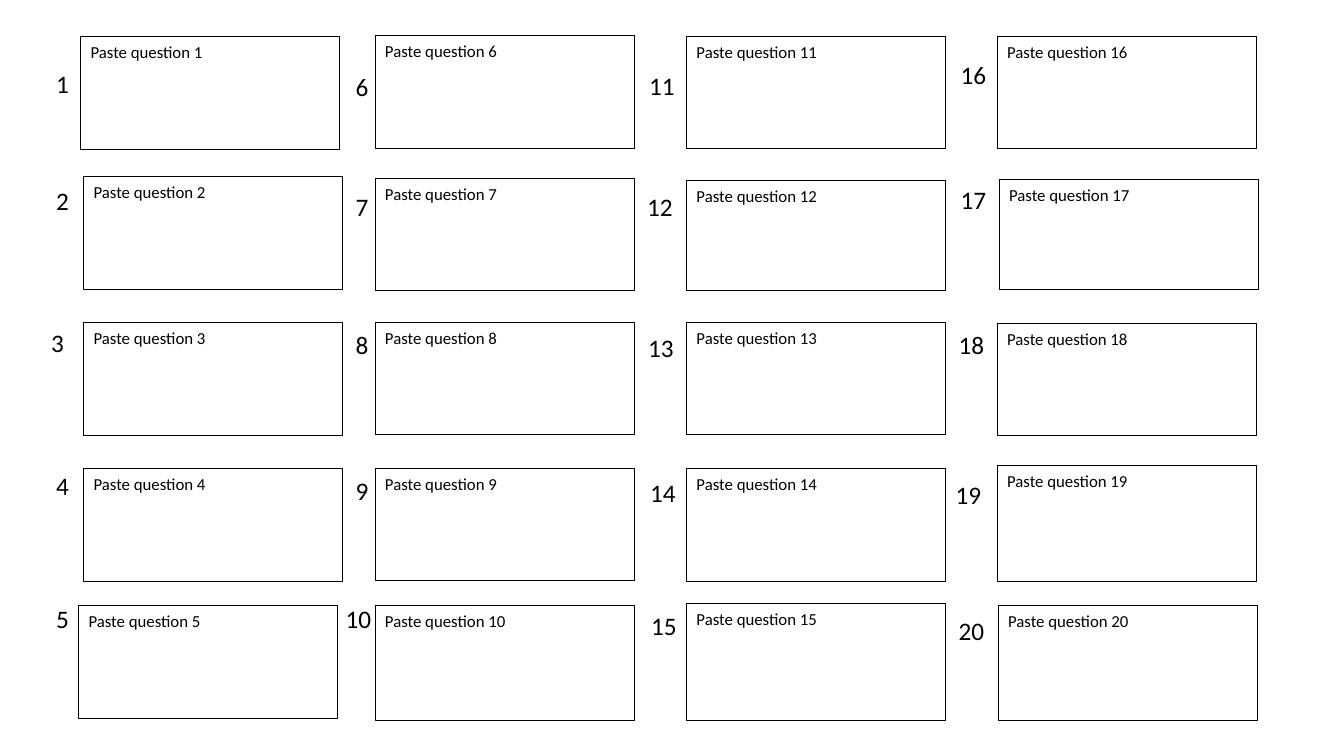
from dataclasses import dataclass

from pptx import Presentation
from pptx import util as u
from pptx.dml.color import RGBColor
from pptx.enum import shapes, text

PX = 9144  # 100 px to the inch
BLACK = RGBColor(0, 0, 0)
FONT = "Calibri"
BOX_WIDTH = 257


@dataclass(frozen=True)
class Question:
    """Placement in px of a question's number and of its box."""
    number_left: int
    number_top: int
    box_left: int
    box_top: int
    box_height: int


QUESTIONS = [
    Question(46, 63, 80, 36, 112),
    Question(46, 179, 83, 175, 112),
    Question(41, 320, 83, 320, 112),
    Question(46, 462, 83, 465, 112),
    Question(46, 594, 78, 601, 112),
    Question(343, 66, 372, 35, 112),
    Question(343, 185, 372, 177, 111),
    Question(343, 322, 372, 320, 111),
    Question(343, 467, 372, 465, 111),
    Question(333, 594, 372, 601, 114),
    Question(634, 65, 681, 36, 111),
    Question(632, 185, 681, 179, 109),
    Question(633, 325, 681, 320, 111),
    Question(635, 469, 681, 465, 112),
    Question(636, 601, 681, 599, 116),
    Question(943, 54, 989, 36, 111),
    Question(943, 178, 991, 178, 109),
    Question(941, 322, 989, 321, 111),
    Question(938, 471, 989, 462, 115),
    Question(941, 606, 990, 601, 114),
]


def px(length: int) -> u.Emu:
    return u.Emu(length * PX)


def write(shape, words: str, size: int) -> None:
    frame = shape.text_frame
    frame.text = words
    frame.word_wrap = True
    frame.vertical_anchor = text.MSO_ANCHOR.TOP
    para = frame.paragraphs[0]
    para.alignment = text.PP_ALIGN.LEFT
    font = para.runs[0].font
    font.name = FONT
    font.size = u.Pt(size)
    font.color.rgb = BLACK


def add_number(page, number: int, question: Question) -> None:
    width, height = (33, 41) if number < 10 else (52, 40)
    label = page.shapes.add_textbox(
        px(question.number_left), px(question.number_top), px(width), px(height))
    write(label, str(number), 18)
    label.text_frame.auto_size = text.MSO_AUTO_SIZE.SHAPE_TO_FIT_TEXT


def add_box(page, number: int, question: Question) -> None:
    box = page.shapes.add_shape(
        shapes.MSO_SHAPE.RECTANGLE, px(question.box_left), px(question.box_top),
        px(BOX_WIDTH), px(question.box_height))
    box.shadow.inherit = False
    box.fill.background()
    box.line.color.rgb = BLACK
    box.line.width = u.Pt(0.75)
    write(box, f"Paste question {number}", 12)


def main() -> None:
    deck = Presentation()
    deck.slide_width, deck.slide_height = px(1333), px(750)
    page = deck.slides.add_slide(deck.slide_layouts[6])
    for add_part in (add_number, add_box):
        for number, question in enumerate(QUESTIONS, start=1):
            add_part(page, number, question)
    deck.save("out.pptx")


if __name__ == "__main__":
    main()
